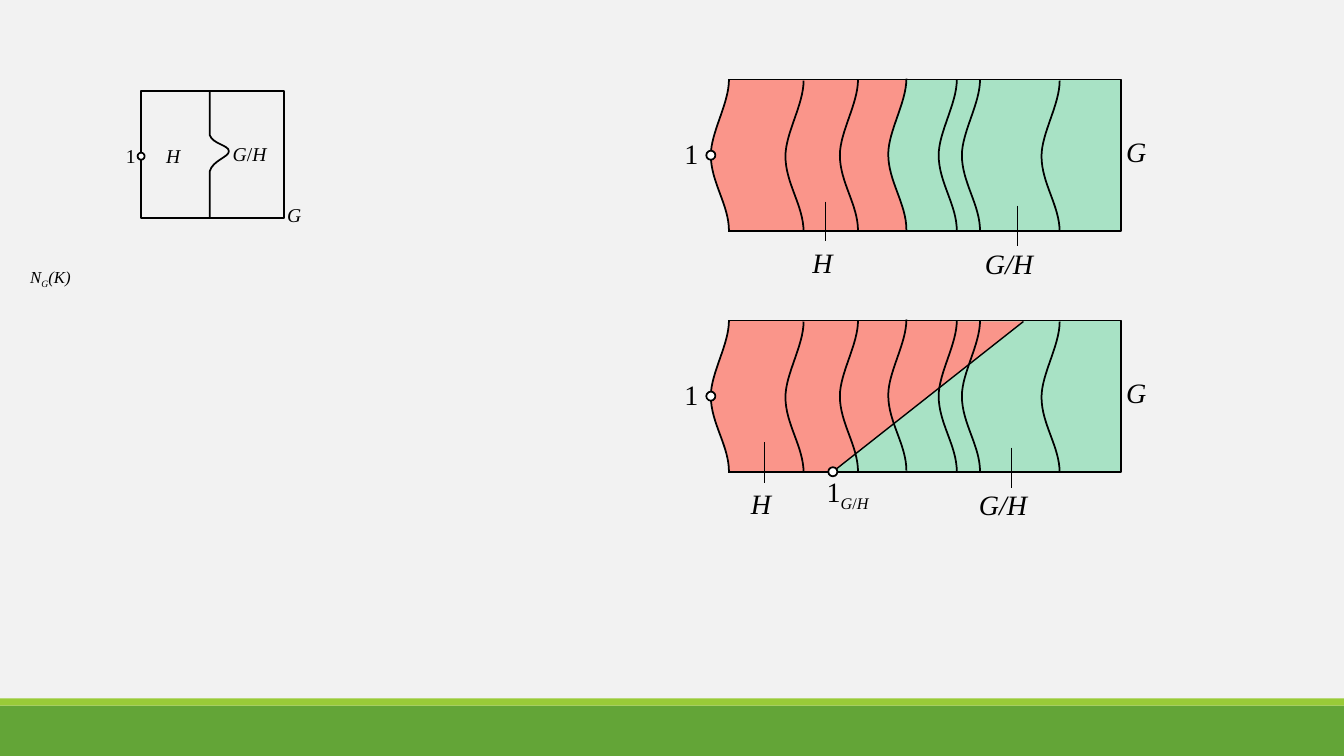
from typing import NamedTuple, Optional, Union

from lxml import etree
from pptx import Presentation
from pptx.dml.color import RGBColor
from pptx.enum.shapes import MSO_CONNECTOR as CONN, MSO_SHAPE as SHP
from pptx.enum.text import MSO_AUTO_SIZE as AUTO
from pptx.oxml.ns import qn
from pptx.util import Inches, Pt

COLORS = {"back": "F2F2F2", "bar": "63A537", "stripe": "99CB38", "ink": "000000",
          "red": "FA958A", "green": "A8E2C5", "white": "FFFFFF"}
FONT = "Times New Roman"
Point = tuple[float, float]

prs = Presentation()
prs.slide_width, prs.slide_height = Inches(13.33), Inches(7.5)
slide = prs.slides.add_slide(prs.slide_layouts[6])


class Curve(NamedTuple):
    control1: Point
    control2: Point
    end: Point


class Run(NamedTuple):
    text: str
    italic: bool = True
    sub: bool = False


class Label(NamedTuple):
    x: float
    y: float
    w: float
    runs: list[Run]
    size: int = 20
    wrap: bool = True


class Leader(NamedTuple):
    start: Point
    end: Point
    width: float = 0.5


class Panel(NamedTuple):
    top: float
    labels: list[Label]
    leaders: list[Leader]


Outline = list[Union[Point, Curve]]


def rgb(name: str) -> RGBColor:
    return RGBColor.from_string(COLORS[name])


def style(sp, fill: Optional[str], line: Optional[float]) -> None:
    sp.shadow.inherit = False
    if fill:
        sp.fill.solid()
        sp.fill.fore_color.rgb = rgb(fill)
    else:
        sp.fill.background()
    if line:
        sp.line.color.rgb = rgb("ink")
        sp.line.width = Pt(line)
    else:
        sp.line.fill.background()


def add_preset(kind, x: float, y: float, w: float, h: float,
               fill: Optional[str] = None, line: Optional[float] = None) -> None:
    style(slide.shapes.add_shape(kind, Inches(x), Inches(y), Inches(w), Inches(h)), fill, line)


def add_dot(x: float, y: float, size: float = 0.09) -> None:
    add_preset(SHP.OVAL, x - size / 2, y - size / 2, size, size, "white", 1.25)


def add_path(outline: Outline, fill: Optional[str] = None, line: Optional[float] = None) -> None:
    steps = [list(s) if isinstance(s, Curve) else [s] for s in outline]
    emu = [(Inches(x), Inches(y)) for step in steps for x, y in step]
    fb = slide.shapes.build_freeform(*emu[0], scale=1.0)
    fb.add_line_segments(emu[1:], close=fill is not None)
    sp = fb.convert_to_shape()
    # Turn each run of three line segments that describes a curve into a cubic one
    segments = iter(list(sp._element.iter(qn("a:lnTo"))))
    for step in steps[1:]:
        group = [next(segments) for _ in step]
        if len(group) == 3:
            group[0].addprevious(cubic := etree.Element(qn("a:cubicBezTo")))
            for segment in group:
                cubic.append(segment[0])
                segment.getparent().remove(segment)
    style(sp, fill, line)


def wave(x: float, top: float, depth: float = 0.18, down: bool = False) -> Outline:
    """Coset line from bottom to top (or down), bulging to the left."""
    left = x - depth
    pts = [(x, top + 1.5), (x, top + 1.24), (left, top + 1.02), (left, top + 0.75),
           (left, top + 0.52), (x, top + 0.24), (x, top)]
    if down:
        pts.reverse()
    return [pts[0], Curve(*pts[1:4]), Curve(*pts[4:])]


def add_label(label: Label) -> None:
    height = {20: 0.44, 14: 0.34, 12: 0.3}[label.size]
    tf = slide.shapes.add_textbox(Inches(label.x), Inches(label.y),
                                  Inches(label.w), Inches(height)).text_frame
    tf.word_wrap = label.wrap
    tf.auto_size = AUTO.SHAPE_TO_FIT_TEXT
    p = tf.paragraphs[0]
    for run in label.runs:
        r = p.add_run()
        r.text = run.text
        for key, value in {"name": FONT, "size": Pt(label.size), "italic": run.italic}.items():
            setattr(r.font, key, value)
        r.font.color.rgb = rgb("ink")
        if run.sub:
            r._r.get_or_add_rPr().set("baseline", "-25000")


def add_leader(leader: Leader) -> None:
    ends = [Inches(v) for v in (*leader.start, *leader.end)]
    cn = slide.shapes.add_connector(CONN.STRAIGHT, *ends)
    cn.line.color.rgb = rgb("ink")
    cn.line.width = Pt(leader.width)
    etree.SubElement(cn._element.spPr, qn("a:effectLst"))


# Background and footer bars
slide.background.fill.solid()
slide.background.fill.fore_color.rgb = rgb("back")
add_preset(SHP.RECTANGLE, 0, 7, 13.33, 0.5, "bar")
add_preset(SHP.RECTANGLE, 0, 6.93, 13.33, 0.07, "stripe")

# Coset panels: shared geometry
LEFT, RIGHT, SPLIT = 7.23, 11.11, 8.99
COSETS = [(7.97, 0.01), (8.51, 0), (SPLIT, -0.01), (9.49, 0), (9.72, 0), (10.51, 0.01)]
ONE, G, H = Run("1 ", False), Run("G"), Run("H")
QUOTIENT = [Run("G/H")]
UPPER, LOWER = 0.79, 3.18
DIAGONAL = Leader((8.26, 4.68), (10.15, 3.19), 1)


def add_panel(panel: Panel) -> None:
    top = panel.top
    add_path(wave(LEFT, top), line=1.25)
    add_path([(7.22, top), (11.12, top), (11.12, top + 1.5), (7.22, top + 1.5)], line=1.25)
    for x, shift in COSETS:
        add_path(wave(x, top + shift), line=1.25)
    add_dot(LEFT - 0.18, top + 0.75)
    for leader in panel.leaders:
        add_leader(leader)
    for label in [Label(6.69, top + 0.52, 0.36, [ONE]),
                  Label(11.07, top + 0.5, 0.46, [G]), *panel.labels]:
        add_label(label)


# Coloured regions: lower panel split by the diagonal, upper one by a coset line
add_path([*wave(8.01, LOWER, 0.28), (RIGHT, LOWER), (RIGHT, LOWER + 1.5)], "green")
add_path([*wave(LEFT, LOWER), DIAGONAL.end, DIAGONAL.start], "red")
add_path([*wave(LEFT, UPPER), *wave(SPLIT, UPPER, down=True)], "red")
add_path([*wave(SPLIT, UPPER), (RIGHT, UPPER), (RIGHT, UPPER + 1.5)], "green")

# Outlines, coset lines and labels of both panels
add_panel(Panel(UPPER,
                [Label(7.96, 2.39, 0.46, [H]), Label(9.67, 2.4, 0.85, QUOTIENT)],
                [Leader((8.19, 2), (8.19, 2.39)), Leader((10.09, 2.04), (10.09, 2.44))]))
add_panel(Panel(LOWER,
                [Label(7.35, 4.78, 0.46, [H]), Label(9.61, 4.79, 0.85, QUOTIENT),
                 Label(8.1, 4.66, 0.77, [Run("1", False), Run("G", sub=True),
                                         Run("/", False, True), Run("H ", sub=True)])],
                [DIAGONAL, Leader((7.58, 4.39), (7.58, 4.79)),
                 Leader((10.03, 4.44), (10.03, 4.84))]))
add_dot(8.26, 4.68)

# Small square diagram
add_preset(SHP.RECTANGLE, 1.4, 0.9, 1.42, 1.26, line=1.25)
add_path([(2.08, 0.91), (2.08, 1.34),
          Curve((2.11, 1.43), (2.27, 1.44), (2.27, 1.5)),
          Curve((2.27, 1.56), (2.11, 1.59), (2.08, 1.7)),
          Curve((2.08, 1.81), (2.08, 2.07), (2.08, 2.16))], line=1.25)
add_dot(1.4, 1.55, 0.07)
for label in [Label(1.15, 1.38, 0.3, [ONE], 14),
              Label(1.55, 1.38, 0.3, [Run("H ")], 14),
              Label(2.21, 1.36, 0.65, [G, Run("/", False), Run("H ")], 14),
              Label(2.75, 1.96, 0.36, [G], 14),
              Label(0.2, 2.6, 0.68, [Run("N"), Run("G", sub=True), Run("(K)")], 12, False)]:
    add_label(label)

prs.save("out.pptx")
